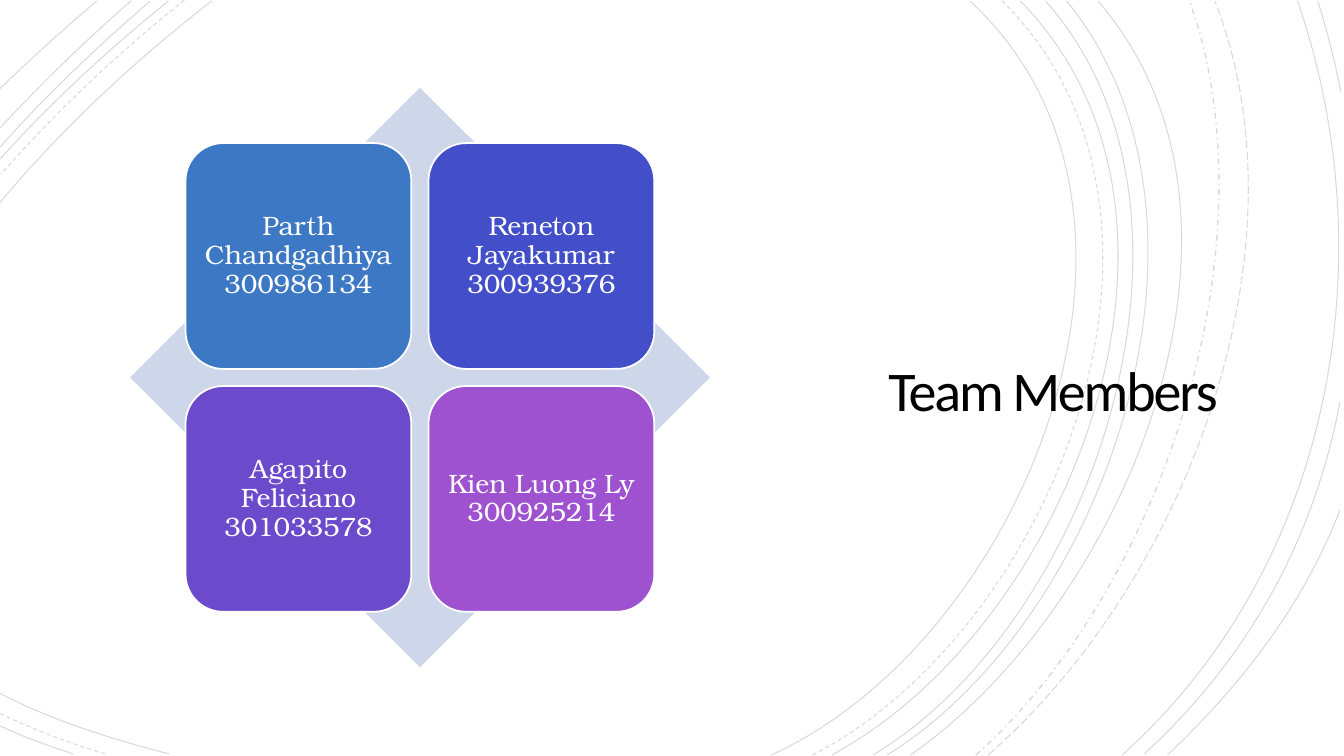
from lxml.etree import SubElement
from pptx import Presentation
from pptx.dml.color import RGBColor
from pptx.enum.dml import MSO_LINE as Dash
from pptx.enum.shapes import MSO_SHAPE as Kind
from pptx.enum.text import MSO_ANCHOR as Anchor, MSO_AUTO_SIZE as Fit, PP_ALIGN as Align
from pptx.oxml.ns import qn
from pptx.util import Inches, Pt

BLACK = RGBColor(0x00, 0x00, 0x00)
WHITE = RGBColor(0xFF, 0xFF, 0xFF)
PALE = RGBColor(0xCE, 0xD6, 0xE9)
BLUE = RGBColor(0x3C, 0x78, 0xC3)
INDIGO = RGBColor(0x43, 0x4F, 0xC8)
VIOLET = RGBColor(0x6C, 0x4A, 0xCC)
PURPLE = RGBColor(0x9F, 0x52, 0xD0)

TITLE = "Team Members"
TEAM = [
    ("Parth Chandgadhiya 300986134", BLUE),
    ("Reneton Jayakumar 300939376", INDIGO),
    ("Agapito Feliciano 301033578", VIOLET),
    ("Kien Luong Ly 300925214", PURPLE),
]
ARCS = {
    (Dash.SOLID, 0.75): [
        [(7.65, 7.49), (10.16, 6.35), (11.88, 2.09), (9.62, 0.01)],
        [(0, 6.88), (0.52, 7.15), (1.13, 7.34), (1.68, 7.48)],
        [(2.1, 0.01), (1.34, 0.6), (0.62, 1.27), (0, 2.01)],
        [(8.25, 7.49), (10.61, 6.22), (12.21, 2.13), (10.12, 0.01)],
        [(0, 7.2), (0.23, 7.31), (0.48, 7.4), (0.73, 7.48)],
        [(1.67, 0.01), (1.08, 0.49), (0.51, 1.01), (0, 1.58)],
        [(8.66, 7.49), (10.87, 6.16), (12.21, 2.08), (10.37, 0.01)],
        [(1.49, 0.01), (0.97, 0.46), (0.46, 0.94), (0, 1.46)],
        [(8.8, 7.49), (11, 6.12), (12.33, 2.16), (10.58, 0.01)],
        [(1.3, 0.01), (0.84, 0.41), (0.41, 0.83), (0, 1.27)],
        [(9.03, 7.49), (11.13, 6.03), (12.78, 2.2), (10.89, 0.01)],
        [(0.96, 0.01), (0.63, 0.29), (0.31, 0.58), (0, 0.88)],
        [(11.13, 7.49), (13.2, 5.64), (13.76, 2.59), (12.87, 0.01)],
        [(11.35, 7.48), (12.38, 6.53), (13.03, 5.36), (13.29, 3.99)],
        [(13.3, 0.91), (13.24, 0.61), (13.16, 0.3), (13.07, 0.01)],
        [(11.58, 7.49), (12.31, 6.8), (12.93, 6), (13.29, 5.06)],
    ],
    (Dash.DASH, 0.75): [
        [(8.06, 7.49), (10.46, 6.25), (12.08, 2.12), (9.94, 0.01)],
        [(0, 7.08), (0.34, 7.24), (0.7, 7.38), (1.05, 7.48)],
        [(1.83, 0), (1.18, 0.52), (0.56, 1.1), (0.01, 1.73)],
    ],
    (Dash.DASH_DOT, 1): [
        [(9.68, 7.49), (11.54, 5.83), (12.65, 2.41), (11.8, 0.01)],
    ],
    (Dash.LONG_DASH, 0.75): [
        [(9.8, 7.49), (11.73, 5.81), (13.02, 2.51), (12.05, 0.01)],
    ],
}
SIDE, PITCH = 2.24, 2.41
LEFT, TOP = 1.84, 1.42


def draw_arc(shapes, ends, dash, width):
    """Draw one faint cubic curve from its four control points."""
    dots = [(Inches(x), Inches(y)) for x, y in ends]
    pen = shapes.build_freeform(*dots[0])
    pen.add_line_segments(dots[1:], close=False)
    arc = pen.convert_to_shape()
    trace = arc.element.find(".//" + qn("a:path"))
    legs = trace.findall(qn("a:lnTo"))
    bend = SubElement(trace, qn("a:cubicBezTo"))
    for leg in legs:
        bend.append(leg[0])
        trace.remove(leg)
    arc.shadow.inherit = False
    arc.fill.background()
    arc.line.color.rgb = BLACK
    arc.line.width = Pt(width)
    arc.line.dash_style = dash
    tint = arc.element.find(f".//{qn('a:ln')}//{qn('a:srgbClr')}")
    SubElement(tint, qn("a:alpha"), val="15000")


def draw_shape(shapes, kind, left, top, side, fill):
    """Draw a filled square-framed shape without an outline."""
    shape = shapes.add_shape(kind, Inches(left), Inches(top), Inches(side), Inches(side))
    shape.shadow.inherit = False
    shape.fill.solid()
    shape.fill.fore_color.rgb = fill
    shape.line.fill.background()
    return shape


def write(shape, text, *, font, size, color, inset, lead, track=0):
    """Write centred text into a shape."""
    frame = shape.text_frame
    frame.word_wrap = True
    frame.auto_size = Fit.NONE
    frame.vertical_anchor = Anchor.MIDDLE
    frame.margin_left = frame.margin_right = Inches(inset)
    frame.margin_top = frame.margin_bottom = Inches(inset)
    para = frame.paragraphs[0]
    para.alignment = Align.CENTER
    para.line_spacing = lead
    run = para.add_run()
    run.text = text
    run.font.name = font
    run.font.size = Pt(size)
    run.font.color.rgb = color
    if track:
        shape.element.find(".//" + qn("a:rPr")).set("spc", str(int(track * 100)))


def main():
    """Build the team slide."""
    deck = Presentation()
    deck.slide_width, deck.slide_height = Inches(13.33), Inches(7.5)
    slide = deck.slides.add_slide(deck.slide_layouts[5])
    shapes = slide.shapes

    for (dash, width), group in ARCS.items():
        for ends in group:
            draw_arc(shapes, ends, dash, width)

    title = shapes.title
    title.left, title.top = Inches(8.53), Inches(2.57)
    title.width, title.height = Inches(3.83), Inches(2.69)
    write(title, TITLE, font="Calibri", size=40, color=BLACK, inset=0.25, lead=0.85, track=-1.5)
    title.element.getparent().append(title.element)

    draw_shape(shapes, Kind.DIAMOND, 1.29, 0.87, 5.75, PALE)
    for i, (name, fill) in enumerate(TEAM):
        row, col = divmod(i, 2)
        card = draw_shape(shapes, Kind.ROUNDED_RECTANGLE,
                          LEFT + col * PITCH, TOP + row * PITCH, SIDE, fill)
        card.line.color.rgb = WHITE
        card.line.width = Pt(1.25)
        write(card, name, font="TeX Gyre Bonum", size=19, color=WHITE, inset=0.08, lead=0.9)

    deck.save("out.pptx")


if __name__ == "__main__":
    main()
